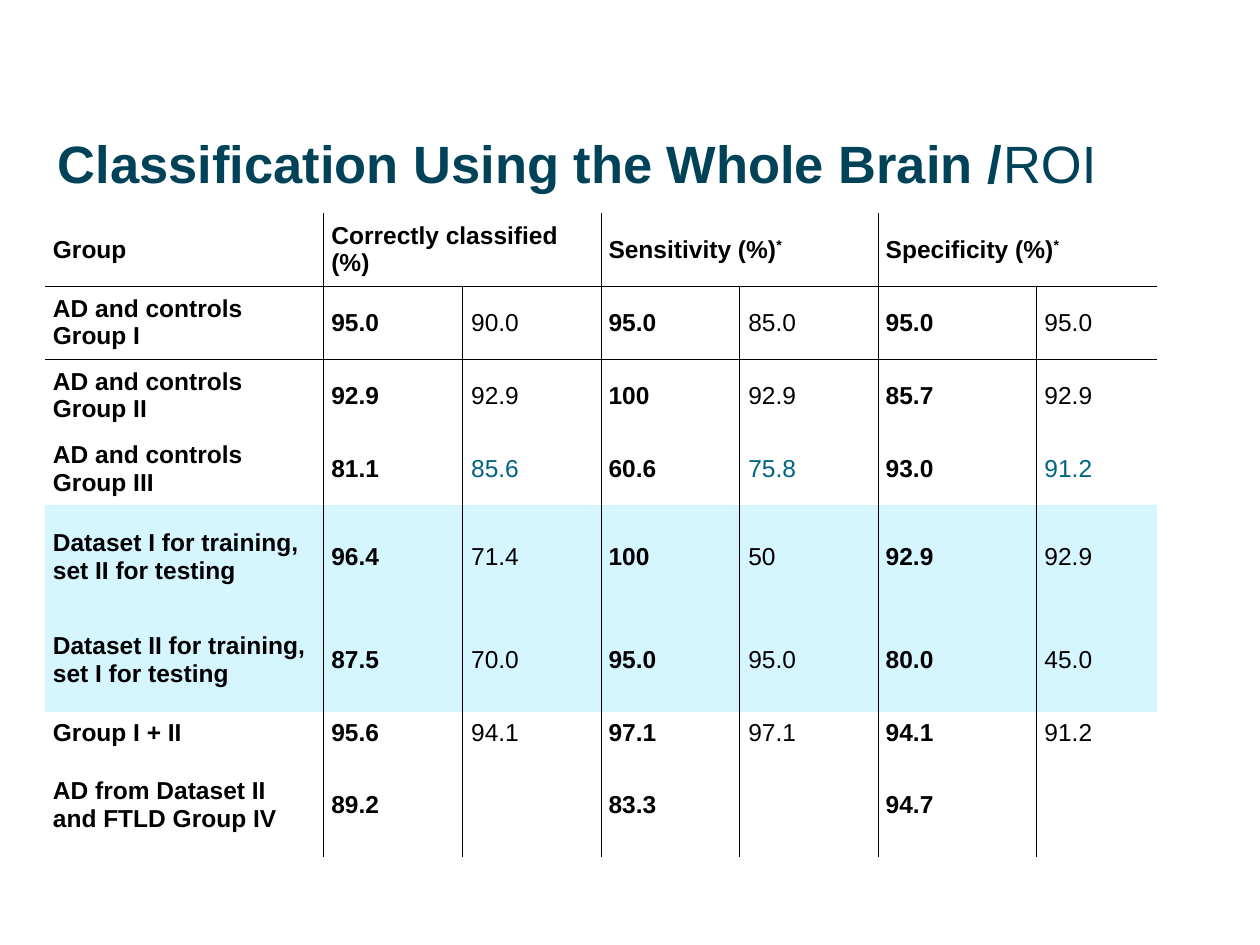
from lxml import etree
from pptx import Presentation
from pptx.dml.color import RGBColor
from pptx.enum.text import MSO_ANCHOR as Anchor, MSO_AUTO_SIZE as AutoSize, PP_ALIGN as Align
from pptx.oxml.ns import qn
from pptx.util import Inches, Pt

NAVY = RGBColor(0x00, 0x43, 0x59)
TEAL = RGBColor(0x00, 0x63, 0x83)
BLACK = RGBColor(0x00, 0x00, 0x00)
PALE_BLUE = RGBColor(0xD5, 0xF5, 0xFF)

NO_GRID_STYLE = "{2D5ABB26-0587-4C30-8999-92F81FD0307C}"
GROUP_LINE = Pt(0.45)
INNER_LINE = Pt(0.23)
COLUMN_WIDTHS = [2.21, 1.1, 1.1, 1.1, 1.1, 1.25, 0.96]
ROW_HEIGHTS = [0.58, 0.58, 0.58, 0.58, 0.82, 0.82, 0.33, 0.82]
HIGHLIGHTED_ROWS = (4, 5)
TEAL_ROW = 3

HEADERS = ["Group", "Correctly classified (%)", "Sensitivity (%)*", "Specificity (%)*"]
RESULTS = [
    ["AD and controls Group I", "95.0", "90.0", "95.0", "85.0", "95.0", "95.0"],
    ["AD and controls Group II", "92.9", "92.9", "100", "92.9", "85.7", "92.9"],
    ["AD and controls Group III", "81.1", "85.6", "60.6", "75.8", "93.0", "91.2"],
    ["Dataset I for training, set II for testing", "96.4", "71.4", "100", "50", "92.9", "92.9"],
    ["Dataset II for training, set I for testing", "87.5", "70.0", "95.0", "95.0", "80.0", "45.0"],
    ["Group I + II", "95.6", "94.1", "97.1", "97.1", "94.1", "91.2"],
    ["AD from Dataset II and FTLD Group IV", "89.2", "", "83.3", "", "94.7", ""],
]


def add_run(paragraph, text, size, color, bold):
    run = paragraph.add_run()
    run.text = text
    run.font.name = "Arial"
    run.font.size = Pt(size)
    run.font.color.rgb = color
    run.font.bold = bold
    return run


def add_title(slide, left, top, width, height):
    title = slide.shapes.title
    title.left, title.top, title.width, title.height = left, top, width, height
    frame = title.text_frame
    frame.word_wrap = True
    frame.auto_size = AutoSize.NONE
    frame.vertical_anchor = Anchor.TOP
    paragraph = frame.paragraphs[0]
    paragraph.alignment = Align.LEFT
    add_run(paragraph, "Classification Using the Whole Brain /", 30, NAVY, True)
    add_run(paragraph, "ROI", 30, NAVY, False)


def set_borders(cell, **widths):
    properties = cell._tc.get_or_add_tcPr()
    for side in "LRTB":
        if widths.get(side):
            line = etree.SubElement(properties, qn("a:ln" + side), w=str(widths[side]))
            fill = etree.SubElement(line, qn("a:solidFill"))
            etree.SubElement(fill, qn("a:srgbClr"), val=str(BLACK))


def fill_cell(cell, text, bold, color=BLACK, background=None):
    cell.vertical_anchor = Anchor.MIDDLE
    cell.margin_left = cell.margin_right = Inches(0.06 if bold else 0.07)
    cell.margin_top = cell.margin_bottom = Inches(0.05)
    if background:
        cell.fill.solid()
        cell.fill.fore_color.rgb = background
    else:
        cell.fill.background()
    paragraph = cell.text_frame.paragraphs[0]
    paragraph.font.size = Pt(14)
    label = text.rstrip("*")
    if label:
        add_run(paragraph, label, 14, color, bold)
    if label != text:
        star = add_run(paragraph, "*", 14, color, bold)
        star._r.get_or_add_rPr().set("baseline", "30000")


def fill_header(table):
    last = len(HEADERS) - 1
    for index, text in enumerate(HEADERS):
        column = max(0, 2 * index - 1)
        cell = table.cell(0, column)
        if index:
            cell.merge(table.cell(0, column + 1))
            set_borders(table.cell(0, column + 1), B=GROUP_LINE,
                        R=GROUP_LINE if index < last else None)
        set_borders(cell, L=GROUP_LINE if index else None,
                    R=GROUP_LINE if index < last else None, B=GROUP_LINE)
        fill_cell(cell, text, True)


def fill_results(table):
    last = len(COLUMN_WIDTHS) - 1
    for row, values in enumerate(RESULTS, 1):
        for column, text in enumerate(values):
            is_roi = column > 0 and column % 2 == 0
            right = INNER_LINE if column % 2 else GROUP_LINE
            left = INNER_LINE if is_roi else GROUP_LINE
            cell = table.cell(row, column)
            set_borders(cell, L=left if column else None,
                        R=right if column < last else None,
                        T=GROUP_LINE if row == 1 else None)
            fill_cell(cell, text, not is_roi,
                      TEAL if is_roi and row == TEAL_ROW else BLACK,
                      PALE_BLUE if row in HIGHLIGHTED_ROWS else None)


def add_results_table(slide, left, top, width, height):
    frame = slide.shapes.add_table(len(ROW_HEIGHTS), len(COLUMN_WIDTHS), left, top, width, height)
    table = frame.table
    table.first_row = table.horz_banding = False
    table._tbl.tblPr.find(qn("a:tableStyleId")).text = NO_GRID_STYLE
    for column, column_width in zip(table.columns, COLUMN_WIDTHS):
        column.width = Inches(column_width)
    for row, row_height in zip(table.rows, ROW_HEIGHTS):
        row.height = Inches(row_height)
    fill_header(table)
    fill_results(table)


def main():
    presentation = Presentation()
    presentation.slide_width = Inches(10)
    presentation.slide_height = Inches(7.5)
    slide = presentation.slides.add_slide(presentation.slide_layouts[5])
    add_title(slide, Inches(0.36), Inches(0.99), Inches(9.28), Inches(1.42))
    add_results_table(slide, Inches(0.36), Inches(1.69), Inches(8.83), Inches(5.11))
    presentation.save("out.pptx")


if __name__ == "__main__":
    main()
